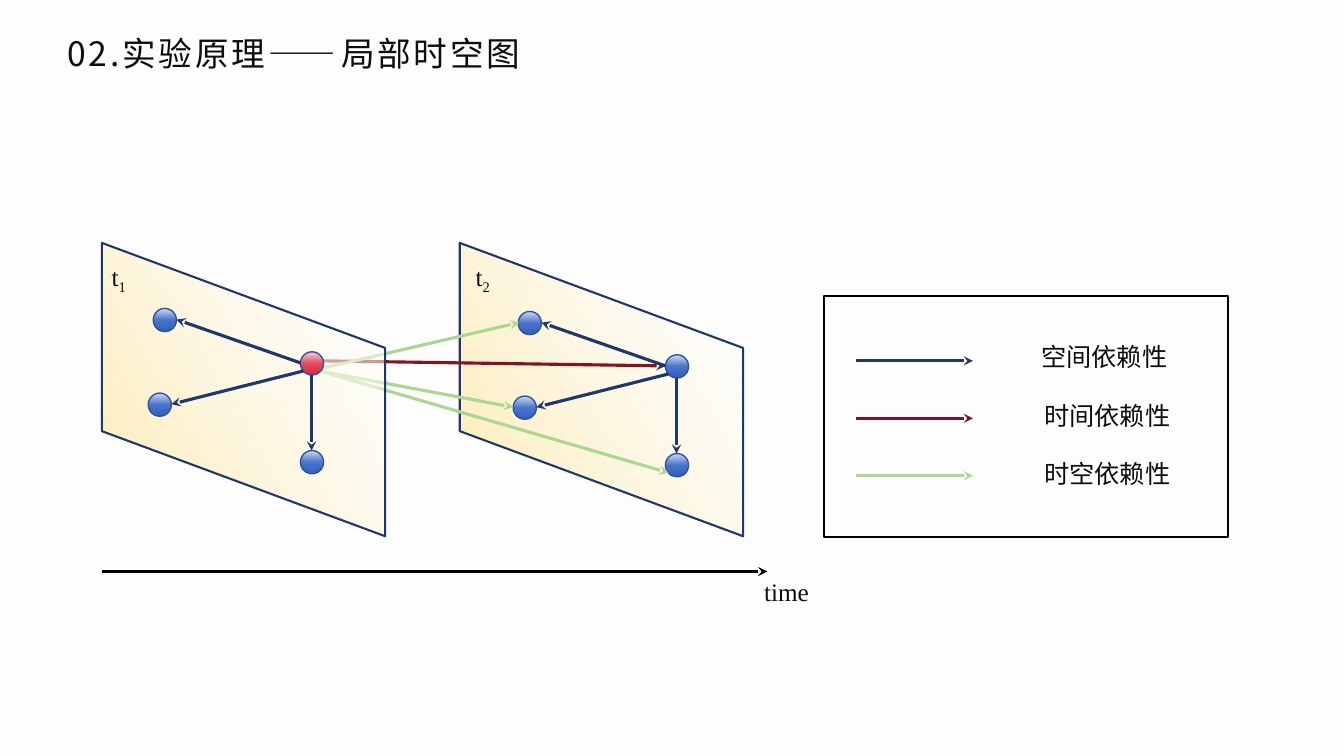
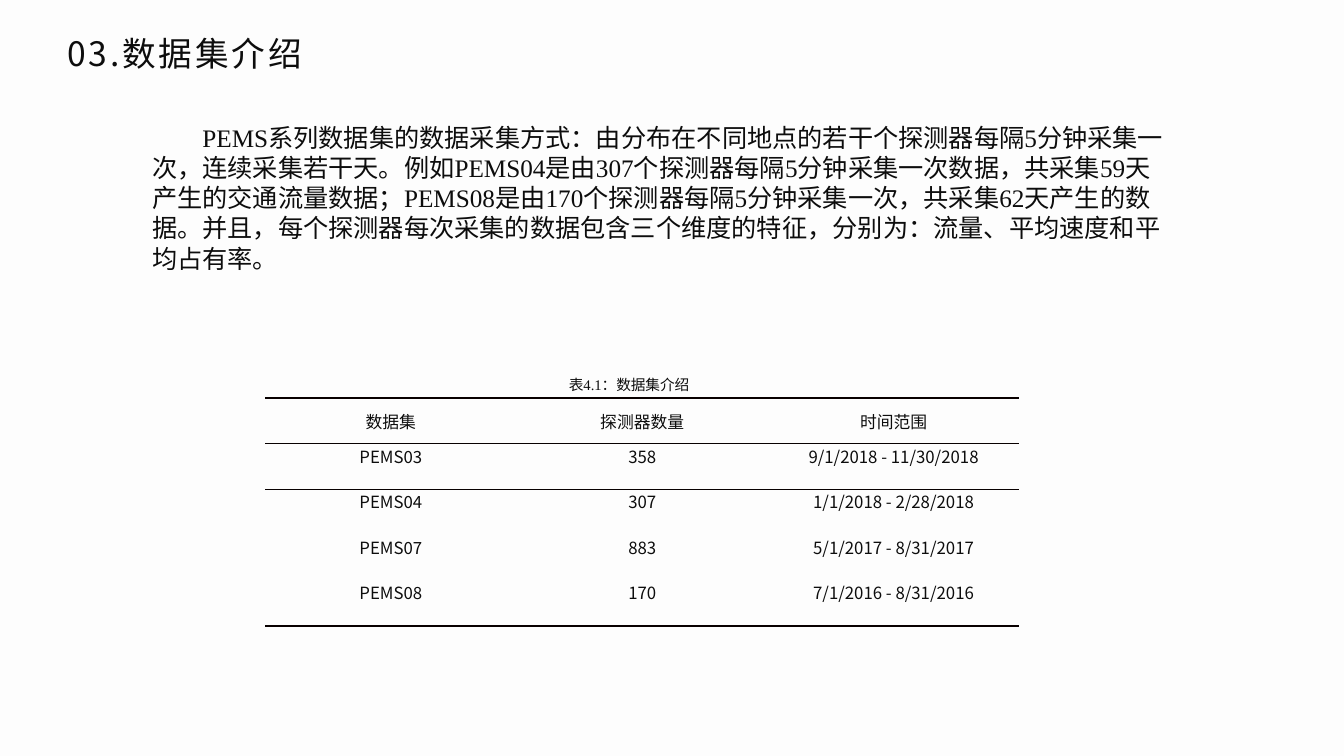
import pptx
import pptx.util
import pptx.dml.color
import pptx.enum.shapes
import pptx.enum.text
import pptx.oxml.ns
from lxml import etree

PX = 9144  # EMU in one px, 100 px to the inch
HUES = {
    "page": "FDFDFD", "ink": "0D0D0D", "black": "000000", "rule": "080000",
    "space": "1E386B", "time": "851321", "both": "ACD78E", "rim": "2E54A1",
}
# Gradient stops: position in percent, colour, opacity in percent
PLANE = [(5, "FFFFFF", 50), (100, "FDECB4", 100), (100, "CE9E02", 100)]
BLUE = [(0, "D1DCF2", 100), (50, "4874CB", 100), (100, "345FB6", 100)]
RED = [(0, "F8D2D7", 100), (50, "E54C5E", 100), (100, "DF243A", 100)]
SANS, SERIF = "Noto Sans CJK SC", "Times New Roman"
NODE = 23
SHAPE = pptx.enum.shapes.MSO_SHAPE
ALIGN = pptx.enum.text.PP_ALIGN
ANCHOR = pptx.enum.text.MSO_ANCHOR
qn = pptx.oxml.ns.qn

INTRO = (
    "PEMS系列数据集的数据采集方式：由分布在不同地点的若干个探测器每隔5分钟采集一次，"
    "连续采集若干天。例如PEMS04是由307个探测器每隔5分钟采集一次数据，"
    "共采集59天产生的交通流量数据；PEMS08是由170个探测器每隔5分钟采集一次，"
    "共采集62天产生的数据。并且，每个探测器每次采集的数据包含三个维度的特征，"
    "分别为：流量、平均速度和平均占有率。"
)
ROWS = [
    ("数据集", "探测器数量", "时间范围"),
    ("PEMS03", "358", "9/1/2018 - 11/30/2018"),
    ("PEMS04", "307", "1/1/2018 - 2/28/2018"),
    ("PEMS07", "883", "5/1/2017 - 8/31/2017"),
    ("PEMS08", "170", "7/1/2016 - 8/31/2016"),
]


def scale(*sizes):
    return [pptx.util.Emu(size * PX) for size in sizes]


def tint(name):
    return pptx.dml.color.RGBColor.from_string(HUES[name])


def add(root, tag, **attrs):
    """Append one XML child."""
    return etree.SubElement(root, qn(tag), {key: str(val) for key, val in attrs.items()})


def write(frame, words, sub="", size=18, font=SERIF, align=None, space=None,
          gap=0, indent=0):
    """Fill the first paragraph; sub is a subscript, gap the letter spacing."""
    para = frame.paragraphs[0]
    para.alignment = align
    para.line_spacing = space
    if indent:
        props = para._p.get_or_add_pPr()
        props.set("marL", "0")
        props.set("indent", str(indent * PX))
    for part, base in ((words, 0), (sub, -25000)):
        if not part:
            continue
        run = para.add_run()
        run.text = part
        run.font.size = pptx.util.Pt(size)
        run.font.color.rgb = tint("ink")
        run.font.name = font
        props = run.font._element
        add(props, "a:ea", typeface=SANS)
        if base:
            props.set("baseline", str(base))
        if gap:
            props.set("spc", str(gap))


def label(slide, box, words, **style):
    frame = slide.shapes.add_textbox(*scale(*box)).text_frame
    frame.word_wrap = True
    write(frame, words, **style)
    return frame


def shade(shape, stops, angle):
    """Give a shape a linear gradient; angle runs clockwise in degrees."""
    shape.fill.gradient()
    grad = shape.element.spPr.find(qn("a:gradFill"))
    grad.find(qn("a:lin")).set("ang", str(angle * 60000))
    ramp = grad.find(qn("a:gsLst"))
    for stop in list(ramp):
        ramp.remove(stop)
    for place, code, alpha in stops:
        hue = add(add(ramp, "a:gs", pos=place * 1000), "a:srgbClr", val=code)
        if alpha < 100:
            add(hue, "a:alpha", val=alpha * 1000)


def form(slide, kind, box, edge, width, stops=None, angle=90):
    shape = slide.shapes.add_shape(kind, *scale(*box))
    shape.shadow.inherit = False
    if stops:
        shade(shape, stops, angle)
    else:
        shape.fill.background()
    shape.line.color.rgb = tint(edge)
    shape.line.width = pptx.util.Pt(width)
    return shape


def arrow(slide, start, end, hue):
    kind = pptx.enum.shapes.MSO_CONNECTOR.STRAIGHT
    link = slide.shapes.add_connector(kind, *scale(*start, *end))
    link.line.color.rgb = tint(hue)
    link.line.width = pptx.util.Pt(2.25)
    add(link.line._get_or_add_ln(), "a:tailEnd", type="stealth")
    add(link.element.spPr, "a:effectLst")


def plane(slide, left, mark, inset):
    """Draw one time slice with its mark."""
    shape = form(slide, SHAPE.PARALLELOGRAM, (left, 246, 291, 281), "space", 1.5,
                 PLANE, 60)
    shape.rotation = 90
    shape.adjustments[0] = 0.371
    label(slide, (left + inset, 254, 43, 40), "t", sub=mark)


def graph(slide, x, y, hub):
    """Draw a hub at x, y with arrows to its three neighbours."""
    for dx, dy, stops in ((0, 0, hub), (-151, 41, BLUE), (-146, -43, BLUE), (0, 98, BLUE)):
        form(slide, SHAPE.OVAL, (x + dx, y + dy, NODE, NODE), "rim", 1, stops)
    for (ax, ay), (bx, by) in (((3, 19), (-128, 52)), ((11, 23), (11, 98)),
                               ((0, 11), (-123, -32))):
        arrow(slide, (x + ax, y + ay), (x + bx, y + by), "space")


def legend(slide):
    form(slide, SHAPE.RECTANGLE, (817, 294, 401, 239), "black", 1.5)
    items = (("space", "空间依赖性", 1023), ("time", "时间依赖性", 1026),
             ("both", "时空依赖性", 1026))
    for row, (hue, words, left) in enumerate(items):
        y = 358 + 57 * row
        arrow(slide, (849, y), (965, y), hue)
        label(slide, (left, 334 + 58 * row, 159, 40), words, font=SANS)


def border(cell, side, width):
    line = add(cell._tc.get_or_add_tcPr(), side, w=pptx.util.Pt(width))
    add(add(line, "a:solidFill"), "a:srgbClr", val=HUES["rule"])


def grid(slide):
    """Draw the three-line table of data sets."""
    frame = slide.shapes.add_table(len(ROWS), 3, *scale(263, 395, 748, 226))
    table = frame.table
    table.first_row = table.horz_banding = False
    style = table._tbl.tblPr.find(qn("a:tableStyleId"))
    style.text = "{2D5ABB26-0587-4C30-8999-92F81FD0307C}"
    last = len(ROWS) - 1
    for r, row in enumerate(ROWS):
        for c, words in enumerate(row):
            cell = table.cell(r, c)
            cell.margin_left, cell.margin_right = scale(7, 7)
            cell.margin_top = cell.margin_bottom = 0
            cell.vertical_anchor = ANCHOR.TOP if r else ANCHOR.MIDDLE
            if r < 2:
                border(cell, "a:lnT", 1 if r else 1.5)
            if r in (0, last):
                border(cell, "a:lnB", 1.5 if r else 1)
            cell.fill.background()
            write(cell.text_frame, words, size=12, font=SANS, align=ALIGN.CENTER)


def page(deck, title):
    slide = deck.slides.add_slide(deck.slide_layouts[6])
    back = slide.background.fill
    back.solid()
    back.fore_color.rgb = tint("page")
    frame = label(slide, (67, 31, 600, 48), title, size=24, font=SANS, space=0.9, gap=200)
    frame.margin_left = frame.margin_right = frame.margin_top = frame.margin_bottom = 0
    frame.vertical_anchor = ANCHOR.MIDDLE
    return slide


def theory(deck):
    slide = page(deck, "02.实验原理——局部时空图")
    plane(slide, 451, "2", 11)
    arrow(slide, (321, 358), (660, 363), "time")
    graph(slide, 660, 352, BLUE)
    for start, end in (((317, 368), (509, 404)), ((317, 366), (515, 320)),
                       ((317, 368), (663, 469))):
        arrow(slide, start, end, "both")
    plane(slide, 96, "1", 5)
    graph(slide, 298, 349, RED)
    arrow(slide, (101, 567), (761, 567), "black")
    label(slide, (748, 567, 154, 40), "time")
    legend(slide)


def data(deck):
    slide = page(deck, "03.数据集介绍")
    label(slide, (273, 368, 702, 62), "表4.1：数据集介绍", size=10.5, align=ALIGN.CENTER)
    grid(slide)
    label(slide, (141, 116, 1033, 161), INTRO, indent=50)


def main():
    deck = pptx.Presentation()
    deck.slide_width, deck.slide_height = scale(1333, 750)
    theory(deck)
    data(deck)
    deck.save("out.pptx")


if __name__ == "__main__":
    main()
